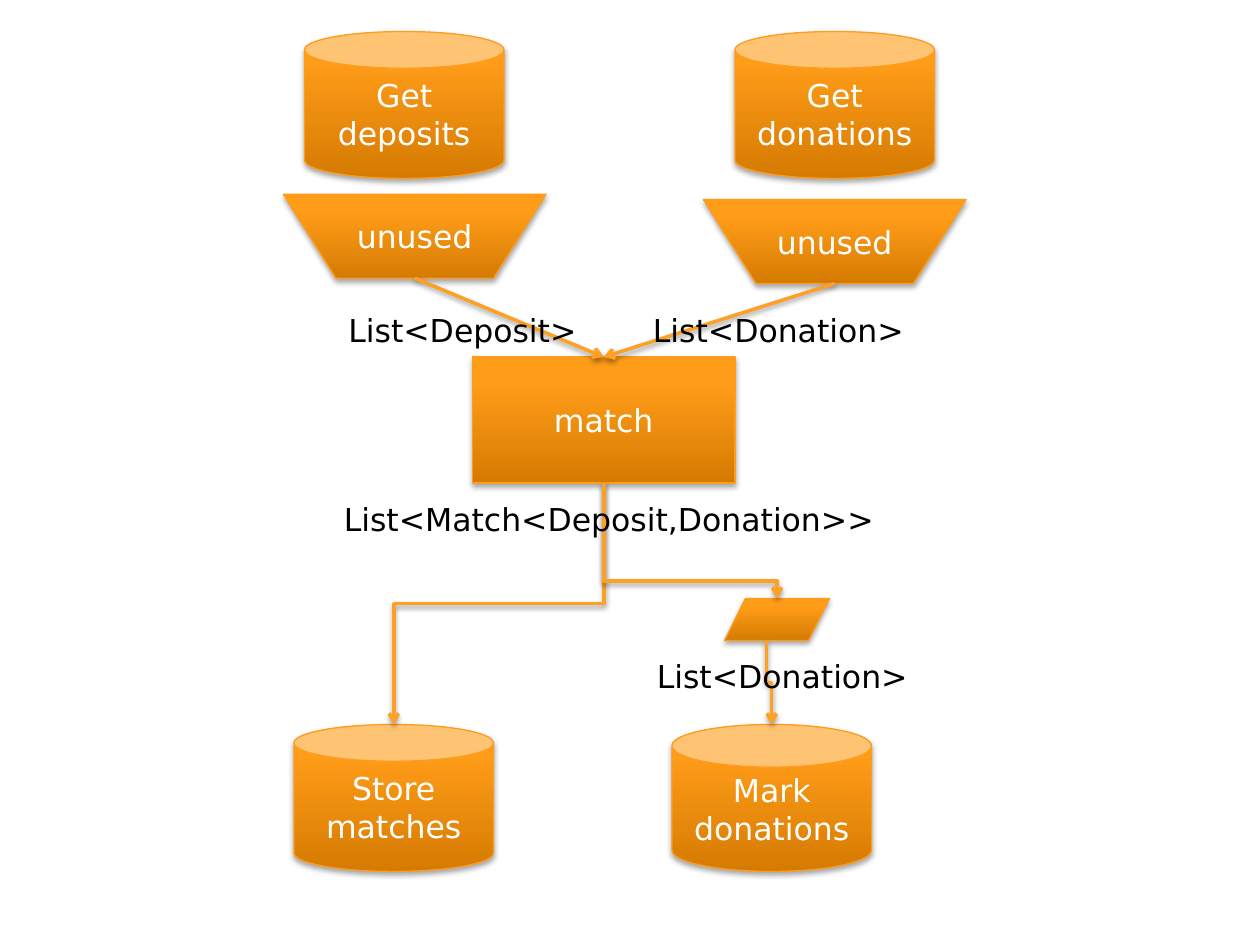
from dataclasses import dataclass
from copy import deepcopy

from lxml import etree
from pptx import Presentation
from pptx.dml.color import RGBColor
from pptx.enum.shapes import MSO_CONNECTOR, MSO_SHAPE
from pptx.enum.text import MSO_ANCHOR, MSO_AUTO_SIZE, PP_ALIGN
from pptx.oxml.ns import qn
from pptx.slide import Slide
from pptx.util import Cm, Pt

RECTANGLE = MSO_SHAPE.RECTANGLE
CAN = MSO_SHAPE.CAN
FUNNEL = MSO_SHAPE.FLOWCHART_MANUAL_OPERATION
SLANTED = MSO_SHAPE.FLOWCHART_DATA
STRAIGHT, ELBOW = MSO_CONNECTOR.STRAIGHT, MSO_CONNECTOR.ELBOW
LEFT, CENTER = PP_ALIGN.LEFT, PP_ALIGN.CENTER
MIDDLE, TOP = MSO_ANCHOR.MIDDLE, MSO_ANCHOR.TOP
NO_FIT, GROW = MSO_AUTO_SIZE.NONE, MSO_AUTO_SIZE.SHAPE_TO_FIT_TEXT

CELL = Cm(2.54) // 24
COLORS = {
    "shade": "D57B02",
    "body": "FF9C18",
    "light": "FF9D19",
    "outline": "FD9D1D",
    "arrow": "FDA023",
    "white": "FFFFFF",
    "black": "000000",
}
GRADIENT = ((0, "shade"), (0.8, "body"), (1, "light"))
FONT = {"name": "DejaVu Sans", "size": Pt(18)}
NODE_FRAME = {"word_wrap": True, "auto_size": NO_FIT, "vertical_anchor": MIDDLE}
LABEL_FRAME = {"word_wrap": True, "auto_size": GROW, "vertical_anchor": TOP}


@dataclass
class Node:
    kind: MSO_SHAPE
    left: int
    top: int
    width: int
    height: int
    text: str = ""
    adjustment: float | None = None


@dataclass
class Arrow:
    start: tuple[int, int]
    end: tuple[int, int]
    kind: MSO_CONNECTOR = STRAIGHT
    bend: float = 0.5


@dataclass
class Label:
    left: int
    top: int
    width: float
    text: str
    align: PP_ALIGN = CENTER
    wrap: bool = True


NODES = (
    Node(RECTANGLE, 90, 68, 50, 24, "match"),
    Node(CAN, 58, 6, 38, 28, "Get deposits"),
    Node(CAN, 140, 6, 38, 28, "Get donations"),
    Node(CAN, 56, 138, 38, 28, "Store matches"),
    Node(CAN, 128, 138, 38, 28, "Mark donations", 0.29),
    Node(FUNNEL, 134, 38, 50, 16, "unused"),
    Node(FUNNEL, 54, 37, 50, 16, "unused"),
    Node(SLANTED, 138, 114, 20, 8),
)
ARROWS = (
    Arrow((79, 53), (115, 68)),
    Arrow((159, 54), (115, 68)),
    Arrow((115, 92), (75, 138), ELBOW),
    Arrow((115, 92), (148, 114), ELBOW, 0.85),
    Arrow((146, 122), (147, 138), ELBOW),
)
LABELS = (
    Label(64, 58, 48.2, "List<Deposit>", LEFT, False),
    Label(122, 58, 54, "List<Donation>", LEFT),
    Label(56, 94, 120, "List<Match<Deposit,Donation>>"),
    Label(122, 124, 54, "List<Donation>"),
)


def color(name: str) -> RGBColor:
    return RGBColor.from_string(COLORS[name])


def cells(*counts: float) -> list[int]:
    return [round(count * CELL) for count in counts]


def set_format(target: object, values: dict) -> None:
    for name, value in values.items():
        setattr(target, name, value)


def add_shadow(properties: etree._Element, distance: int, opacity: int) -> None:
    effects = etree.SubElement(properties, qn("a:effectLst"))
    shadow = etree.SubElement(
        effects, qn("a:outerShdw"), blurRad="40000", dist=str(distance),
        dir="5400000", rotWithShape="0")
    shade = etree.SubElement(shadow, qn("a:srgbClr"), val=COLORS["black"])
    etree.SubElement(shade, qn("a:alpha"), val=str(opacity * 1000))


def write(frame, text: str, color_name: str, align: PP_ALIGN, values: dict) -> None:
    set_format(frame, values)
    para = frame.paragraphs[0]
    para.alignment = align
    span = para.add_run()
    span.text = text
    set_format(span.font, FONT)
    span.font.color.rgb = color(color_name)


def add_node(page: Slide, node: Node) -> None:
    shape = page.shapes.add_shape(
        node.kind, *cells(node.left, node.top, node.width, node.height))
    if node.adjustment is not None:
        shape.adjustments[0] = node.adjustment
    shape.fill.gradient()
    shape.fill.gradient_angle = 90
    properties = shape._element.spPr
    stop_list = properties.find(f".//{qn('a:gsLst')}")
    stop_list.append(deepcopy(stop_list[0]))
    for stop, (position, name) in zip(shape.fill.gradient_stops, GRADIENT):
        stop.position = position
        stop.color.rgb = color(name)
    shape.line.color.rgb = color("outline")
    shape.line.width = Pt(0.75)
    add_shadow(properties, 23000, 35)
    if node.text:
        write(shape.text_frame, node.text, "white", CENTER, NODE_FRAME)


def add_arrow(page: Slide, arrow: Arrow) -> None:
    (start_x, start_y), (end_x, end_y) = arrow.start, arrow.end
    corners = (*arrow.start, *arrow.end)
    if arrow.kind == ELBOW:
        middle_x, middle_y = (start_x + end_x) / 2, (start_y + end_y) / 2
        half_run, half_rise = (end_y - start_y) / 2, abs(end_x - start_x) / 2
        corners = (middle_x - half_run, middle_y - half_rise,
                   middle_x + half_run, middle_y + half_rise)
    connector = page.shapes.add_connector(arrow.kind, *cells(*corners))
    properties = connector._element.spPr
    if arrow.kind == ELBOW:
        transform = properties.find(qn("a:xfrm"))
        if end_x < start_x:
            transform.set("rot", "5400000")
        else:
            transform.set("rot", "16200000")
            transform.set("flipH", "1")
        guides = properties.find(f".//{qn('a:avLst')}")
        etree.SubElement(guides, qn("a:gd"), name="adj1",
                         fmla=f"val {round(arrow.bend * 100000)}")
    connector.line.color.rgb = color("arrow")
    connector.line.width = Pt(2)
    etree.SubElement(properties.find(qn("a:ln")), qn("a:tailEnd"), type="arrow")
    add_shadow(properties, 20000, 38)


def add_label(page: Slide, label: Label) -> None:
    box = page.shapes.add_textbox(*cells(label.left, label.top, label.width, 9.7))
    write(box.text_frame, label.text, "black", label.align,
          LABEL_FRAME | {"word_wrap": label.wrap})


def main() -> None:
    deck = Presentation()
    set_format(deck, {"slide_width": Cm(25.4), "slide_height": Cm(19.05)})
    page = deck.slides.add_slide(deck.slide_layouts[6])
    for items, draw in ((NODES, add_node), (ARROWS, add_arrow), (LABELS, add_label)):
        for item in items:
            draw(page, item)
    deck.save("out.pptx")


if __name__ == "__main__":
    main()
